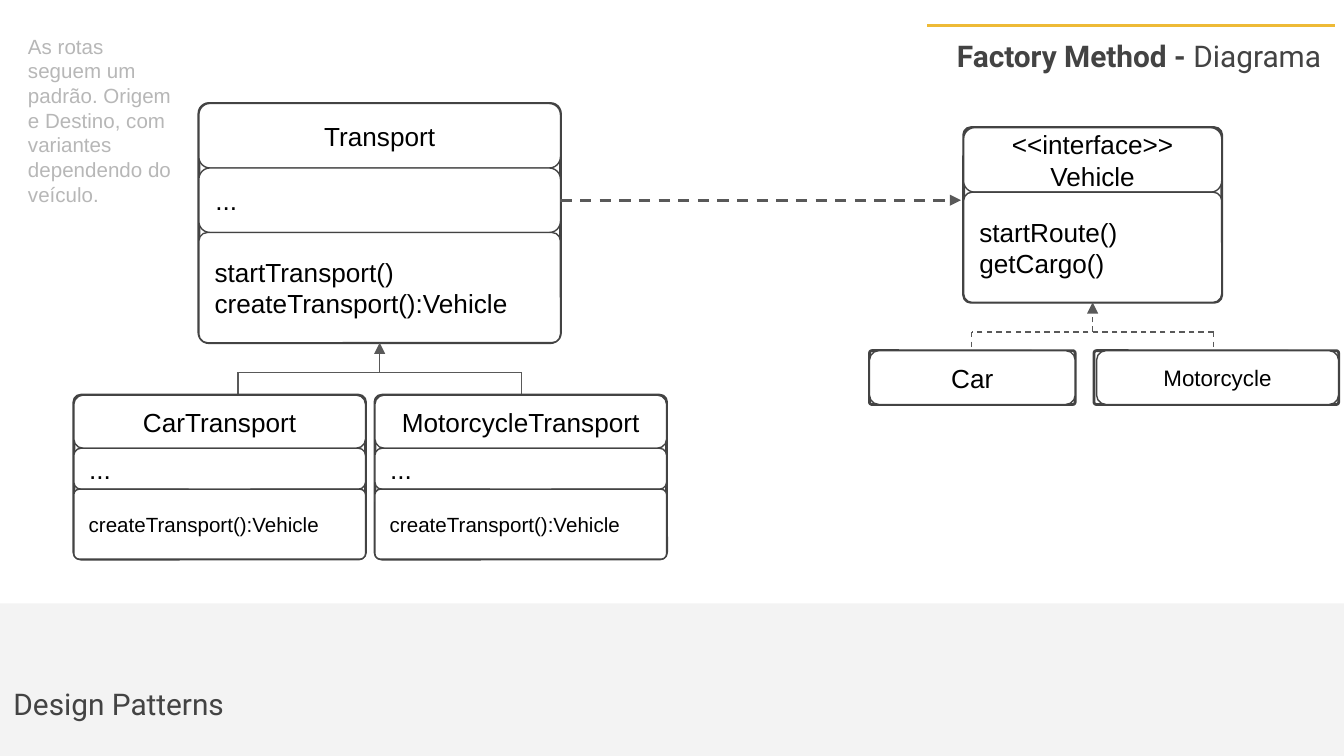
from lxml import etree
from pptx import Presentation
from pptx.dml.color import RGBColor
from pptx.enum.dml import MSO_LINE
from pptx.enum.shapes import MSO_CONNECTOR, MSO_SHAPE
from pptx.enum.text import MSO_ANCHOR, MSO_AUTO_SIZE, PP_ALIGN
from pptx.oxml.ns import qn
from pptx.util import Inches, Pt

CELL = Inches(0.01)
COLS, ROWS = 1000, 562.5
WHITE = RGBColor(0xFF, 0xFF, 0xFF)
BLACK = RGBColor(0, 0, 0)
PALE = RGBColor(0xF3, 0xF3, 0xF3)
DARK = RGBColor(0x43, 0x43, 0x43)
GREY = RGBColor(0x59, 0x59, 0x59)
MUTED = RGBColor(0xB7, 0xB7, 0xB7)
GOLD = RGBColor(0xEE, 0xBA, 0x36)
LEFT, MID, RIGHT = PP_ALIGN.LEFT, PP_ALIGN.CENTER, PP_ALIGN.RIGHT
TOP, CENTER, BOTTOM = MSO_ANCHOR.TOP, MSO_ANCHOR.MIDDLE, MSO_ANCHOR.BOTTOM
RECT, ROUND = MSO_SHAPE.RECTANGLE, MSO_SHAPE.ROUNDED_RECTANGLE
STRAIGHT, DASH = MSO_CONNECTOR.STRAIGHT, MSO_LINE.DASH
FRAME = dict.fromkeys(
    ("margin_left", "margin_top", "margin_right", "margin_bottom"), Inches(0.1)
) | {"word_wrap": True, "auto_size": MSO_AUTO_SIZE.NONE}


def apply(item, values):
    for name, value in values.items():
        setattr(item, name, value)


def grid(*cells):
    return [round(cell * CELL) for cell in cells]


def place(shape, *cells):
    apply(shape, dict(zip(("left", "top", "width", "height"), grid(*cells))))


def write(shape, text, size, color, align=LEFT, anchor=CENTER, face="Arial"):
    frame = shape.text_frame
    apply(frame, FRAME | {"vertical_anchor": anchor})
    frame.text = text
    for para in frame.paragraphs:
        apply(para, {"alignment": align, "space_before": Pt(0)})
        for run in para.runs:
            ink(run, size, color, face)


def ink(run, size, color, face, bold=False):
    apply(run.font, {"size": Pt(size), "name": face, "bold": bold})
    run.font.color.rgb = color


def box(shapes, cells, kind=ROUND, adjust=None, fill=None, weight=None):
    shape = shapes.add_shape(kind, *grid(*cells))
    shape.shadow.inherit = False
    if adjust:
        shape.adjustments[0] = adjust
    if fill is None:
        shape.fill.background()
    else:
        shape.fill.solid()
        shape.fill.fore_color.rgb = fill
    if weight:
        shape.line.color.rgb = DARK
        shape.line.width = Pt(weight)
    else:
        shape.line.fill.background()
    return shape


def line(shapes, ends, color=GREY, weight=0.75, dash=None, arrow=False):
    link = shapes.add_connector(STRAIGHT, *grid(*ends))
    link.line.color.rgb = color
    apply(link.line, {"width": Pt(weight), "dash_style": dash})
    props = link.element.spPr
    if arrow:
        tip = etree.SubElement(props.find(qn("a:ln")), qn("a:tailEnd"))
        tip.set("type", "triangle")
    etree.SubElement(props, qn("a:effectLst"))


def card(slide, left, top, width, rows, inset=0):
    shapes = slide.shapes.add_group_shape().shapes
    total = sum(row[0] for row in rows)
    box(shapes, (left, top, width, total), adjust=0.042, weight=1.5)
    for high, text, size, align in rows:
        adjust = 0.077 if high > 50 else 0.173
        cells = (left + inset, top, width - inset, high)
        part = box(shapes, cells, adjust=adjust, fill=WHITE, weight=0.75)
        write(part, text, size, BLACK, align)
        top += high


def branch(slide, first, last, level, dash=None):
    shapes = slide.shapes.add_group_shape().shapes
    stem = (first + last) / 2
    line(shapes, (stem, level, stem, level - 22), dash=dash, arrow=True)
    line(shapes, (last, level, first, level), dash=dash)
    for x in (last, first):
        line(shapes, (x, level, x, level + 17), dash=dash)


def heads(slide):
    title, label = slide.placeholders
    place(title, 348, -27, 645, 92)
    write(title, "Factory Method - ", 16, DARK, RIGHT, BOTTOM, "Roboto")
    para = title.text_frame.paragraphs[0]
    para.runs[0].font.bold = True
    tail = para.add_run()
    tail.text = "Diagrama"
    ink(tail, 16, DARK, "Roboto")
    place(label, 0, 504, 547, 43)
    write(label, "Design Patterns", 16, DARK, LEFT, BOTTOM, "Roboto")


def main():
    deck = Presentation()
    deck.slide_width, deck.slide_height = grid(COLS, ROWS)
    slide = deck.slides.add_slide(deck.slide_layouts[0])
    slide.background.fill.solid()
    slide.background.fill.fore_color.rgb = PALE
    heads(slide)
    panel = box(slide.shapes, (0, 0, COLS, 449), RECT, fill=WHITE)
    panel.element.getparent().insert(2, panel.element)
    line(slide.shapes, (690, 19, 993, 19), GOLD, 1.5)

    card(slide, 148, 77, 269, [
        (48, "Transport", 14, MID),
        (48, "...", 14, LEFT),
        (82, "startTransport()\vcreateTransport():Vehicle", 14, LEFT),
    ])
    branch(slide, 177, 388, 277)
    line(slide.shapes, (417, 149, 715, 149), weight=1.5, dash=DASH, arrow=True)
    card(slide, 717, 95, 192, [
        (48, "<<interface>>\nVehicle", 14, MID),
        (82, "startRoute()\ngetCargo()", 14, LEFT),
    ])
    branch(slide, 723, 903, 247, DASH)
    card(slide, 647, 261, 153, [(40, "Car", 14, MID)])
    card(slide, 814, 261, 182, [(40, "Motorcycle", 12, MID)], inset=2)
    for col, name in enumerate(("CarTransport", "MotorcycleTransport")):
        card(slide, 55 + 224 * col, 294, 217, [
            (39.5, name, 14, MID),
            (30.5, "...", 14, LEFT),
            (52, "createTransport():Vehicle", 11, LEFT),
        ])

    note = slide.shapes.add_textbox(*grid(11, 15, 132, 178))
    write(note, "As rotas seguem um padrão. Origem e Destino, com variantes "
          "dependendo do veículo.", 11, MUTED, anchor=TOP)
    deck.save("out.pptx")


if __name__ == "__main__":
    main()
